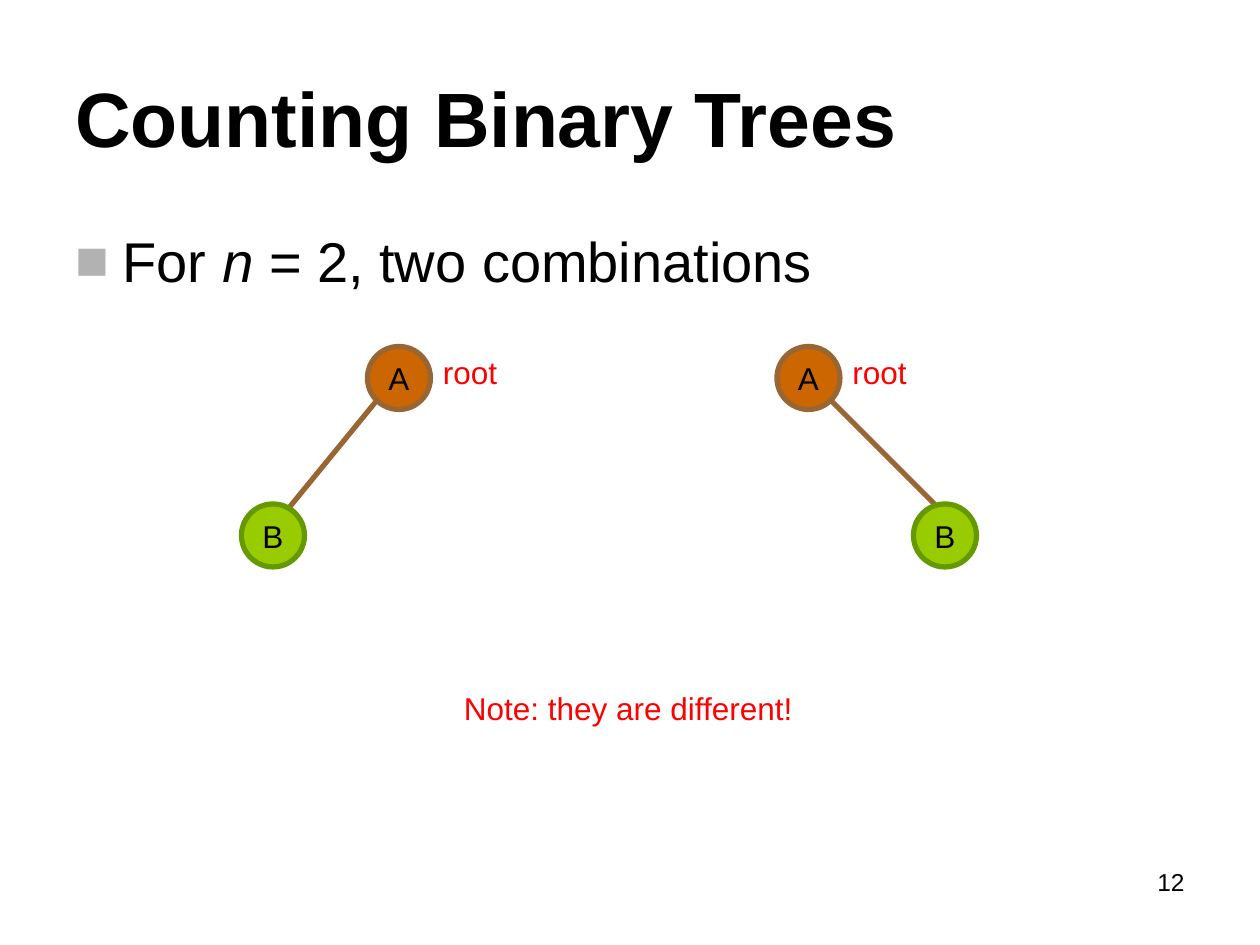
import pptx
import pptx.util
import pptx.dml.color
import pptx.enum.shapes
import pptx.enum.text
import pptx.oxml
import pptx.oxml.ns
from dataclasses import dataclass

Pt = pptx.util.Pt
RGB = pptx.dml.color.RGBColor.from_string
ALIGN = pptx.enum.text.PP_ALIGN
ANCHOR = pptx.enum.text.MSO_ANCHOR


@dataclass(frozen=True)
class Theme:
    """Colours, type sizes and font of the slide."""
    font: str = "Arial"
    ink: str = "000000"
    note: str = "FF0000"
    bullet: str = "B2B2B2"
    root: tuple = ("CC6600", "996633")
    child: tuple = ("99CC00", "669900")
    branch: str = "996633"
    title_size: int = 44
    body_size: int = 32
    label_size: int = 18
    number_size: int = 14
    stroke: int = 3
    node: int = 36


THEME = Theme()


def apply(target, formats):
    """Set each attribute named in formats on target."""
    for name, value in formats.items():
        setattr(target, name, value)


def write(p, text, size, color=THEME.ink, **formats):
    """Append a formatted run to a paragraph."""
    r = p.add_run()
    r.text = text
    apply(r.font, dict(name=THEME.font, size=Pt(size), **formats))
    r.font.color.rgb = RGB(color)


def add_box(s, box, align=ALIGN.LEFT, anchor=ANCHOR.TOP):
    """Add a wrapping text box and return its first paragraph."""
    tf = s.shapes.add_textbox(*map(Pt, box)).text_frame
    apply(tf, dict(word_wrap=True, vertical_anchor=anchor))
    p = tf.paragraphs[0]
    p.alignment = align
    return p


def add_bullet(p, indent):
    """Give a paragraph a hanging square bullet."""
    pPr = p._p.get_or_add_pPr()
    pPr.set("marL", str(Pt(indent)))
    pPr.set("indent", str(-Pt(indent)))
    ns = pptx.oxml.ns.nsdecls("a")
    for xml in (f'<a:buClr {ns}><a:srgbClr val="{THEME.bullet}"/></a:buClr>',
                f'<a:buFont {ns} typeface="{THEME.font}"/>',
                f'<a:buChar {ns} char="■"/>'):
        pPr.append(pptx.oxml.parse_xml(xml))


def add_node(s, left, top, letter, colors):
    """Add a lettered tree node."""
    size = Pt(THEME.node)
    sp = s.shapes.add_shape(pptx.enum.shapes.MSO_SHAPE.OVAL, Pt(left), Pt(top), size, size)
    sp.shadow.inherit = False
    sp.fill.solid()
    sp.fill.fore_color.rgb, sp.line.color.rgb = map(RGB, colors)
    sp.line.width = Pt(THEME.stroke)
    apply(sp.text_frame, dict(word_wrap=False, vertical_anchor=ANCHOR.MIDDLE))
    p = sp.text_frame.paragraphs[0]
    p.alignment = ALIGN.CENTER
    write(p, letter, THEME.label_size)


def add_branch(s, start, end):
    """Add a straight branch between two points."""
    kind = pptx.enum.shapes.MSO_CONNECTOR.STRAIGHT
    cx = s.shapes.add_connector(kind, *map(Pt, start + end))
    cx.line.color.rgb = RGB(THEME.branch)
    cx.line.width = Pt(THEME.stroke)
    cx._element.spPr.append(
        pptx.oxml.parse_xml(f'<a:effectLst {pptx.oxml.ns.nsdecls("a")}/>'))


def add_label(s, left, top, width, text):
    """Add a red annotation."""
    write(add_box(s, (left, top, width, 29)), text, THEME.label_size, THEME.note)


def add_tree(s, root_left, child_left, start, end):
    """Add a root, its only child, their branch and the root label."""
    top = 198
    add_node(s, root_left, top, "A", THEME.root)
    add_branch(s, start, end)
    add_node(s, child_left, top + 90, "B", THEME.child)
    add_label(s, root_left + THEME.node, top, 114, "root")


def main():
    """Build and save the slide."""
    prs = pptx.Presentation()
    apply(prs, dict(slide_width=Pt(720), slide_height=Pt(540)))
    s = prs.slides.add_slide(prs.slide_layouts[6])
    p = add_box(s, (36, 21.6, 648, 90), anchor=ANCHOR.MIDDLE)
    write(p, "Counting Binary Trees", THEME.title_size, bold=True)
    p = add_box(s, (36, 126, 648, 356.4))
    add_bullet(p, 27)
    for text, italic in (("For ", False), ("n", True), (" = 2, two combinations", False)):
        write(p, text, THEME.body_size, italic=italic)
    add_tree(s, 210, 138, (162, 294), (216, 228))
    add_tree(s, 444, 522, (534, 288), (474, 228))
    add_label(s, 258, 390, 216, "Note: they are different!")
    p = add_box(s, (516, 492, 168, 37.5), align=ALIGN.RIGHT)
    write(p, "12", THEME.number_size)
    prs.save("out.pptx")


if __name__ == "__main__":
    main()
